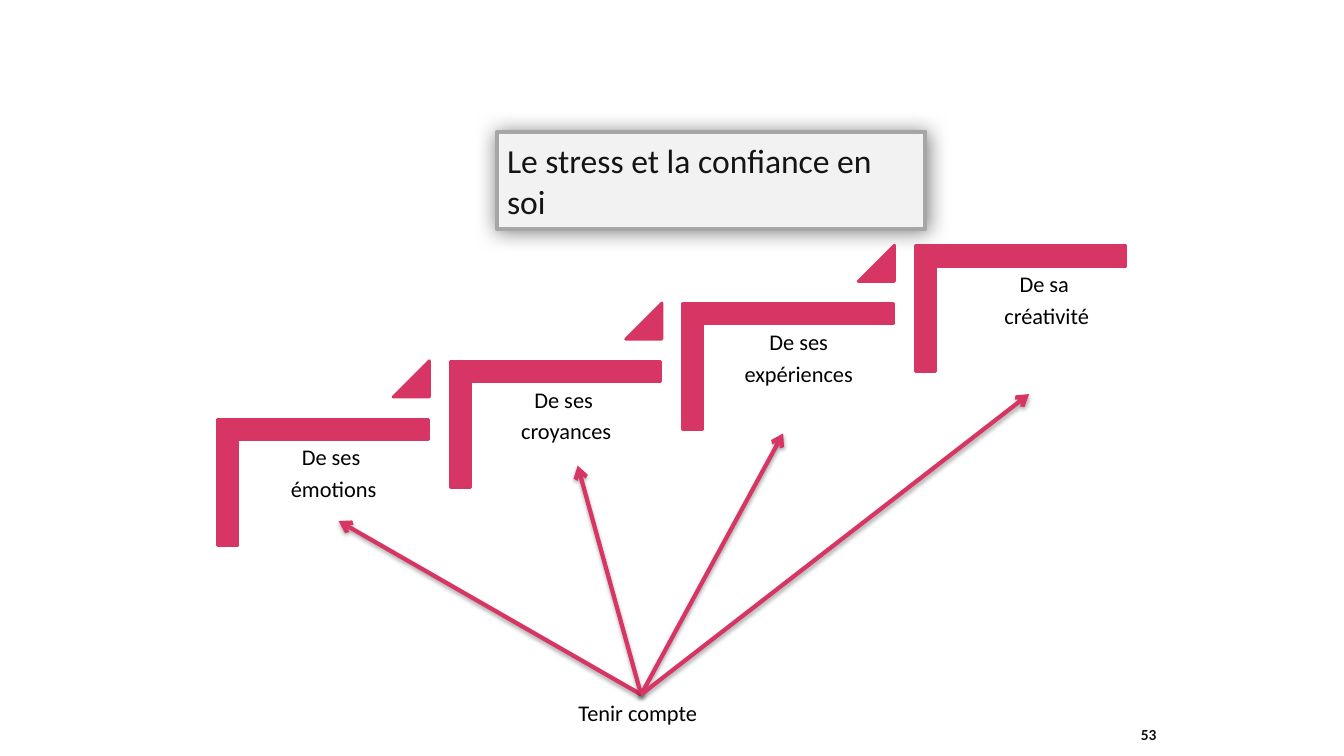
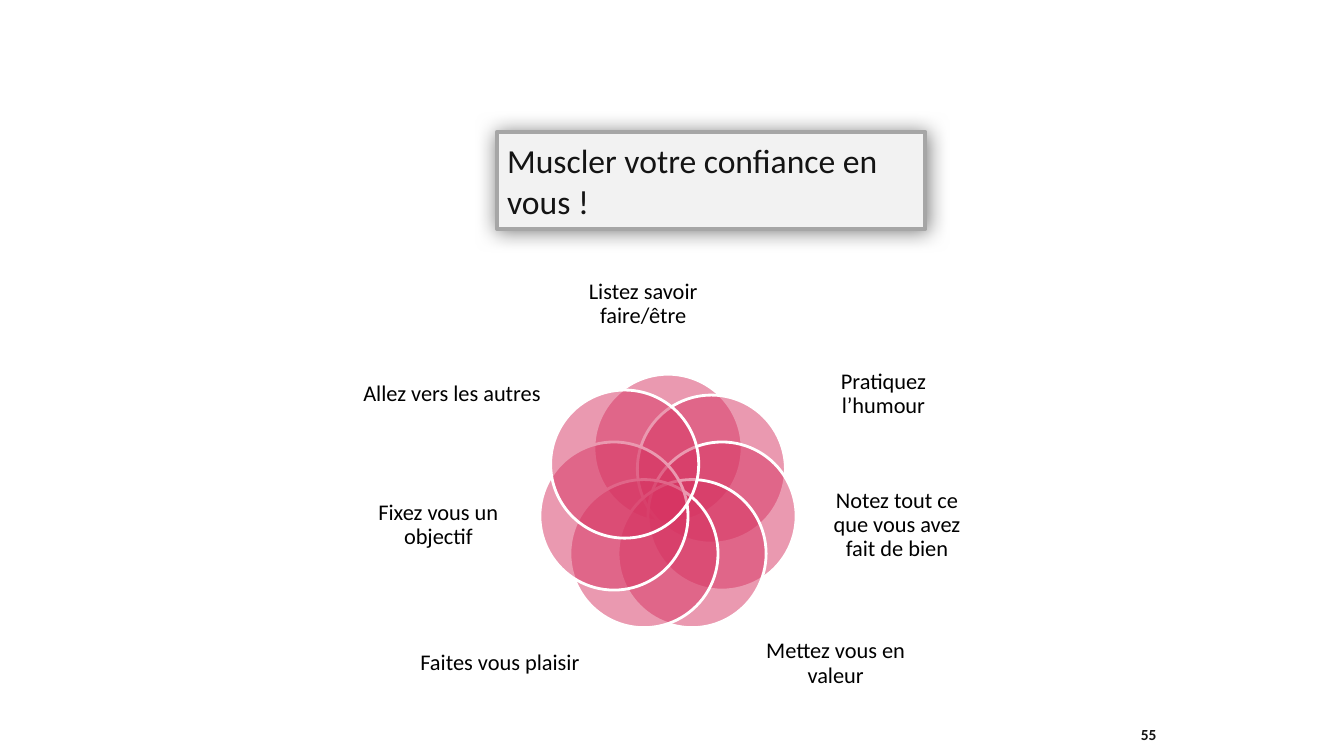
from math import cos, pi, sin

from lxml import etree
from pptx import Presentation
from pptx.dml.color import RGBColor
from pptx.enum.shapes import MSO_CONNECTOR, MSO_SHAPE
from pptx.enum.text import MSO_ANCHOR, MSO_AUTO_SIZE, PP_ALIGN
from pptx.oxml.ns import qn
from pptx.util import Pt

STRAIGHT = MSO_CONNECTOR.STRAIGHT
OVAL = MSO_SHAPE.OVAL
TRIANGLE = MSO_SHAPE.ISOSCELES_TRIANGLE
TOP, MIDDLE = MSO_ANCHOR.TOP, MSO_ANCHOR.MIDDLE
LEFT, CENTER = PP_ALIGN.LEFT, PP_ALIGN.CENTER
NO_AUTOSIZE = MSO_AUTO_SIZE.NONE

COLORS = {
    "accent": "D73563",
    "white": "FFFFFF",
    "black": "000000",
    "title_text": "141414",
    "title_fill": "F2F2F2",
    "title_line": "A6A6A6",
    "title_shadow": "808080",
}
FONT = "Calibri"
TITLE_BOX = (355, 94.3, 306, 69.1)
NUMBER_BOX = (807.8, 511.2, 31.7, 28.8)

# Staircase: box of the lowest step, then the shift from step to step
STEP_BOX = (155.5, 299.5, 150.5, 90)
STEP_SHIFT = (166.1, -41.3)
STEP_THICKNESS = 14.5
STEP_TEXT_BOX = (15.1, 14.5, 135.4, 118.8)
LAST_STEP_TEXT_BOX = (37.4, 14.5, 113, 118.8)
STEP_TEXTS = ["De ses \némotions", "De ses \ncroyances",
              "De ses\n expériences ", "De sa \ncréativité"]
ARROW_TIPS = [(241.9, 372.2), (412.6, 332.6), (559.4, 309.6), (735.1, 281.5)]
SOURCE_BOX = (406.1, 496.1, 103.7, 26.6)

# Flower: centre, ring radius, petal diameter, and labels clockwise from the top
FLOWER = (477.2, 359.8, 39.6, 105.8)
LAST_PETAL_LIFT = 3.6
PETAL_LABELS = [
    ("Listez savoir faire/être", (398.9, 185, 121, 64.8)),
    ("Pratiquez l’humour", (573.8, 246.2, 114.5, 71.3)),
    ("Notez tout ce que vous avez fait de bien", (584.6, 337, 112.3, 76.3)),
    ("Mettez vous en valeur", (536.4, 439.2, 121, 69.8)),
    ("Faites vous plaisir", (296.6, 439.2, 121, 69.8)),
    ("Fixez vous un objectif", (257, 337, 112.3, 76.3)),
    ("Allez vers les autres", (257, 246.2, 131.8, 71.3)),
]


def rgb(name):
    return RGBColor.from_string(COLORS[name])


def in_points(box):
    return [Pt(value) for value in box]


def add_shadow(shape, color, opacity, blur, distance, angle):
    effects = etree.SubElement(shape._element.spPr, qn("a:effectLst"))
    shadow = etree.SubElement(
        effects, qn("a:outerShdw"), blurRad=str(Pt(blur)), dist=str(Pt(distance)),
        dir=str(angle * 60000), algn="ctr", rotWithShape="0")
    shade = etree.SubElement(shadow, qn("a:srgbClr"), val=COLORS[color])
    etree.SubElement(shade, qn("a:alpha"), val=str(opacity * 1000))


def paint(shape, fill, line, width):
    shape.fill.solid()
    shape.fill.fore_color.rgb = rgb(fill)
    shape.line.color.rgb = rgb(line)
    shape.line.width = Pt(width)


def add_preset(slide, preset, box, line="accent"):
    shape = slide.shapes.add_shape(preset, *in_points(box))
    shape.shadow.inherit = False
    paint(shape, "accent", line, 2)
    return shape


def format_runs(text_frame, size, color, bold=False):
    for paragraph in text_frame.paragraphs:
        for run in paragraph.runs:
            run.font.name = FONT
            run.font.size = Pt(size)
            run.font.bold = bold
            run.font.color.rgb = rgb(color)


def add_text(slide, box, text, size=16, color="black", bold=False, align=CENTER,
             anchor=MIDDLE, insets=(0, 0), spacing=0.9, after=5.5, wrap=True):
    shape = slide.shapes.add_textbox(*in_points(box))
    text_frame = shape.text_frame
    text_frame.word_wrap = wrap
    text_frame.vertical_anchor = anchor
    text_frame.margin_left = text_frame.margin_right = Pt(insets[0])
    text_frame.margin_top = text_frame.margin_bottom = Pt(insets[1])
    text_frame.text = text
    for paragraph in text_frame.paragraphs:
        paragraph.alignment = align
        paragraph.line_spacing = spacing
        paragraph.space_after = Pt(after)
    format_runs(text_frame, size, color, bold)
    return shape


# Shared frame: title panel and page number
def add_titled_slide(presentation, title_text, number):
    slide = presentation.slides.add_slide(presentation.slide_layouts[5])
    title = slide.shapes.title
    title.left, title.top, title.width, title.height = in_points(TITLE_BOX)
    geometry = etree.SubElement(title._element.spPr, qn("a:prstGeom"), prst="roundRect")
    guides = etree.SubElement(geometry, qn("a:avLst"))
    etree.SubElement(guides, qn("a:gd"), name="adj", fmla="val 2100")
    paint(title, "title_fill", "title_line", 3)
    add_shadow(title, "title_shadow", 100, 15, 1, 54)
    text_frame = title.text_frame
    text_frame.auto_size = NO_AUTOSIZE
    text_frame.vertical_anchor = MIDDLE
    text_frame.text = title_text
    text_frame.paragraphs[0].alignment = LEFT
    format_runs(text_frame, 24, "title_text")
    add_text(slide, NUMBER_BOX, number, 11, "title_text", True, LEFT,
             insets=(7.2, 3.6), after=0)
    return slide


def add_corner(slide, box, thickness):
    left, top, width, height = box
    right, bottom = left + width, top + height
    inner_left, inner_top = left + thickness, top + thickness
    outline = [(right, top), (right, inner_top), (inner_left, inner_top),
               (inner_left, bottom), (left, bottom)]
    builder = slide.shapes.build_freeform(Pt(left), Pt(top))
    builder.add_line_segments([in_points(point) for point in outline], close=True)
    corner = builder.convert_to_shape()
    corner.shadow.inherit = False
    paint(corner, "accent", "accent", 2)


def add_step(slide, box, text, text_box, has_triangle):
    left, top = box[:2]
    add_corner(slide, box, STEP_THICKNESS)
    x, y, text_width, text_height = text_box
    add_text(slide, (left + x, top + y, text_width, text_height), text,
             anchor=TOP, insets=(5, 5))
    if has_triangle:
        triangle = add_preset(slide, TRIANGLE, (left + 125.3, top - 41.8, 25.9, 25.9))
        triangle.adjustments[0] = 1


def add_staircase(slide, box):
    left, top, width, height = box
    last = len(STEP_TEXTS) - 1
    for index, text in enumerate(STEP_TEXTS):
        step_box = (left + index * STEP_SHIFT[0], top + index * STEP_SHIFT[1],
                    width, height)
        text_box = LAST_STEP_TEXT_BOX if index == last else STEP_TEXT_BOX
        add_step(slide, step_box, text, text_box, index < last)


def add_arrows(slide, box, tips):
    source = add_text(slide, box, "Tenir compte", align=LEFT, anchor=TOP,
                      insets=(7.2, 3.6), spacing=1, after=0, wrap=False)
    left, top, width, _ = box
    for tip in tips:
        arrow = slide.shapes.add_connector(
            STRAIGHT, *in_points((left + width / 2, top, *tip)))
        arrow.begin_connect(source, 0)
        arrow.line.color.rgb = rgb("accent")
        arrow.line.width = Pt(3)
        line = arrow._element.spPr.find(qn("a:ln"))
        etree.SubElement(line, qn("a:tailEnd"), type="arrow")
        add_shadow(arrow, "black", 35, 3.1, 1.8, 90)


def add_flower(slide, center_x, center_y, radius, diameter):
    count = len(PETAL_LABELS)
    for index, (text, label_box) in enumerate(PETAL_LABELS):
        angle = 2 * pi * index / count
        left = center_x + radius * sin(angle) - diameter / 2
        top = center_y - radius * cos(angle) - diameter / 2
        if index == count - 1:
            top -= LAST_PETAL_LIFT
        petal = add_preset(slide, OVAL, (left, top, diameter, diameter), "white")
        shade = petal._element.spPr.find(qn("a:solidFill")).find(qn("a:srgbClr"))
        etree.SubElement(shade, qn("a:alpha"), val="50000")
        add_text(slide, label_box, text)


def main():
    presentation = Presentation()
    presentation.slide_width, presentation.slide_height = Pt(960), Pt(540)

    slide = add_titled_slide(presentation, "Le stress et la confiance en soi", "53")
    add_staircase(slide, STEP_BOX)
    add_arrows(slide, SOURCE_BOX, ARROW_TIPS)

    slide = add_titled_slide(presentation, "Muscler votre confiance en vous !", "55")
    add_flower(slide, *FLOWER)

    presentation.save("out.pptx")


if __name__ == "__main__":
    main()
